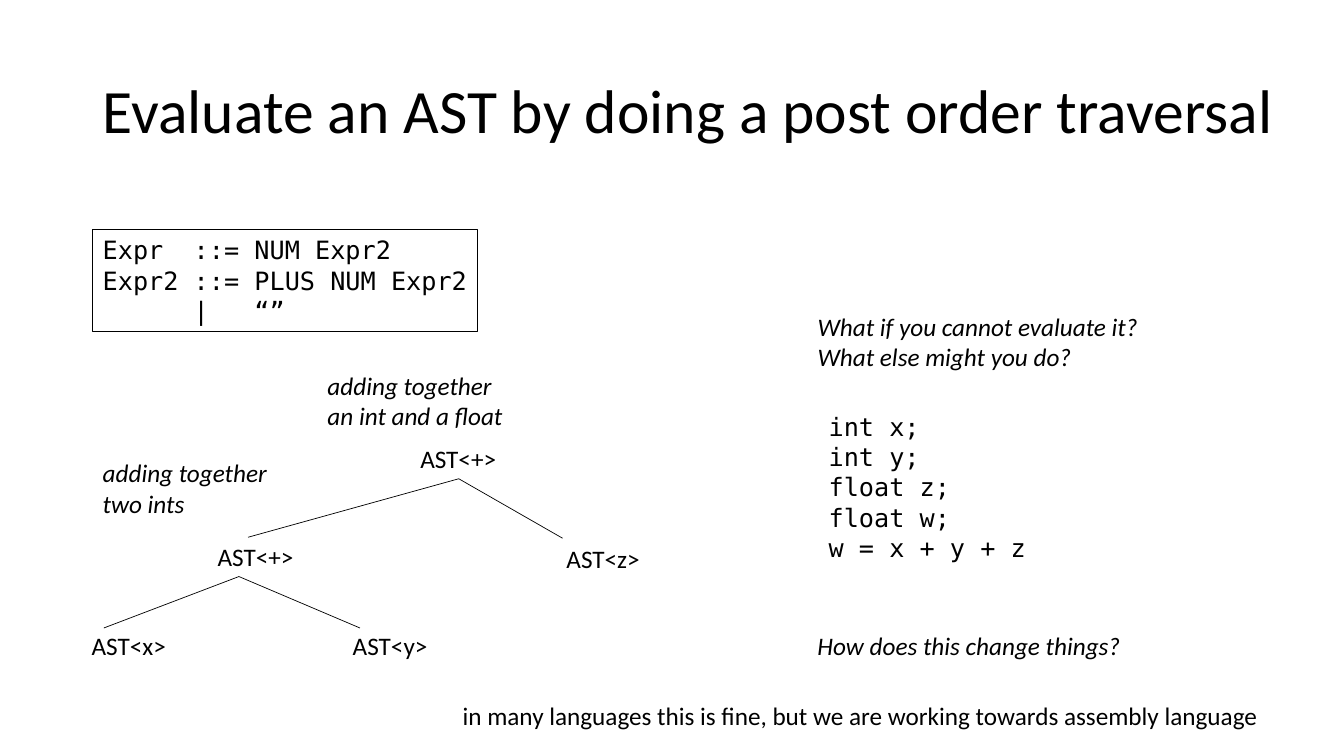
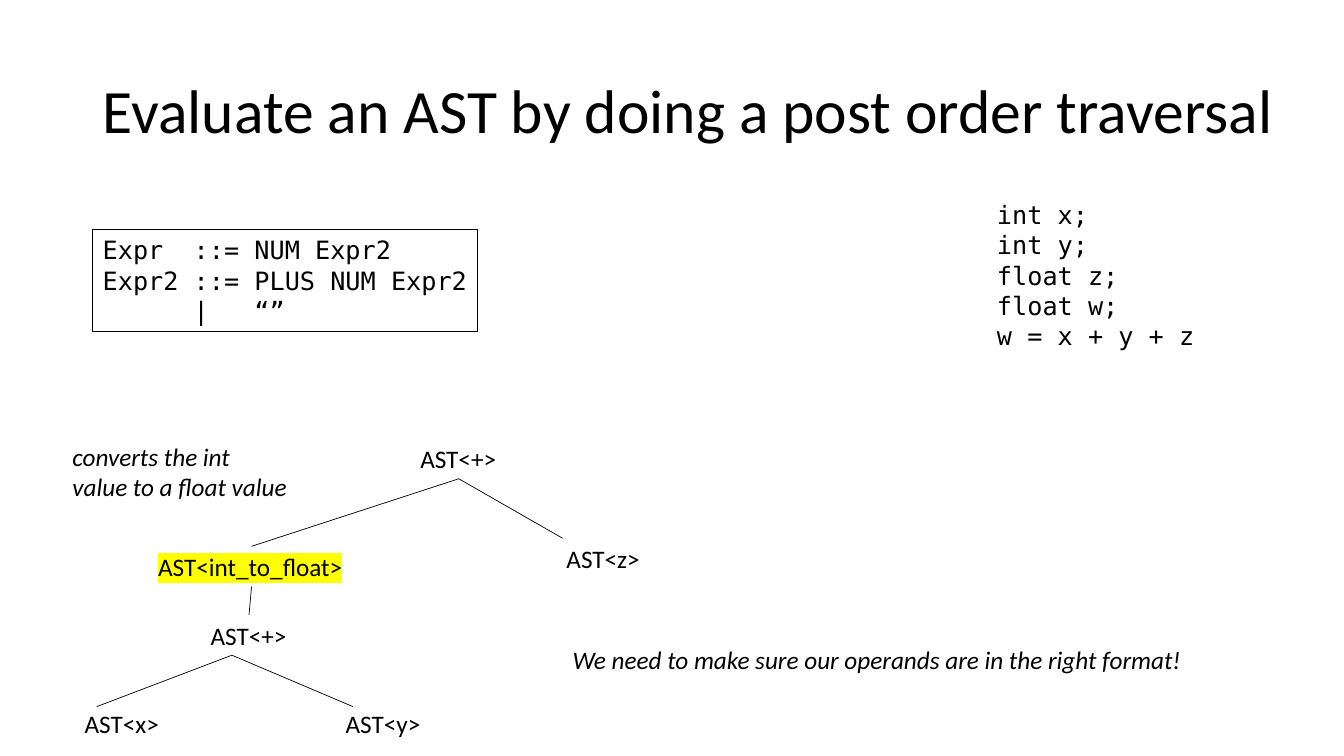
"""Build two slides on evaluating an abstract syntax tree by post order traversal."""
from lxml.etree import SubElement
from pptx import Presentation
from pptx.dml.color import RGBColor
from pptx.enum.shapes import MSO_CONNECTOR, MSO_SHAPE
from pptx.enum.text import MSO_ANCHOR as ANCHOR, MSO_AUTO_SIZE as FIT, PP_ALIGN as ALIGN
from pptx.oxml.ns import qn
from pptx.util import Inches, Pt

COLORS = {"ink": "000000", "marker": "FFFF00"}
FONTS = {
    "title": {"name": "Calibri", "size": Pt(44)},
    "code": {"name": "DejaVu Sans Mono", "size": Pt(18)},
    "plain": {"name": "Calibri", "size": Pt(18)},
    "aside": {"name": "Calibri", "size": Pt(18), "italic": True},
}
FRAMES = {
    "title": {"word_wrap": True, "vertical_anchor": ANCHOR.MIDDLE},
    "body": {"word_wrap": False, "vertical_anchor": ANCHOR.TOP,
             "auto_size": FIT.SHAPE_TO_FIT_TEXT},
}

TITLE = "Evaluate an AST by doing a post order traversal"
TITLE_AT = (0.92, 0.4, 12.05, 1.45)
GRAMMAR = "Expr  ::= NUM Expr2\nExpr2 ::= PLUS NUM Expr2\n      |   “”"
GRAMMAR_AT = (0.92, 2.28, 3.82, 1.01)
PROGRAM = "int x;\nint y;\nfloat z;\nfloat w;\vw = x + y + z"
PROGRAM_SIZE = (2.16, 1.62)
NODE_HEIGHT = 0.4
NODE_WIDTHS = {"+": 0.96, "x": 0.95, "y": 0.95, "z": 0.94, "int_to_float": 2.05}
ROOT, ROOT_LEAF, ROOT_LEAF_JOINT = (4.07, 4.35), (5.52, 5.34), (5.58, 5.34)
INNER_JOINT = (0.31, 0.4)
INNER_LEAVES = [
    ("x", (-1.25, 0.88), (-1.03, 0.91)),
    ("y", (1.34, 0.88), (1.51, 0.91)),
]

SLIDES = [
    {
        "program": (8.12, 4.03),
        "inner": (2.06, 5.32),
        "inner_end": (2.46, 5.33),
        "notes": [
            ("What if you cannot evaluate it?\vWhat else might you do?",
             (8.01, 3.04, 4.21, 0.71), "aside"),
            ("How does this change things?", (8.01, 6.2, 3.24, 0.4), "aside"),
            ("adding together\vtwo ints", (0.92, 4.49, 1.85, 0.71), "aside"),
            ("adding together\van int and a float", (3.15, 3.62, 1.96, 0.71), "aside"),
            ("in many languages this is fine, but we are working towards assembly language",
             (4.49, 6.9, 8.24, 0.4), "plain"),
        ],
    },
    {
        "program": (9.79, 1.93),
        "inner": (1.99, 6.1),
        "conversion": (1.47, 5.42),
        "notes": [
            ("converts the int\nvalue to a float value", (0.62, 4.33, 2.34, 0.71), "aside"),
            ("We need to make sure our operands are in the right format!",
             (5.58, 6.34, 6.31, 0.4), "aside"),
        ],
    },
]


def color(name):
    return RGBColor.from_string(COLORS[name])


def shifted(origin, offset):
    return origin[0] + offset[0], origin[1] + offset[1]


def write(shape, text, style, frame="body"):
    for key, value in FRAMES[frame].items():
        setattr(shape.text_frame, key, value)
    shape.text_frame.text = text
    for paragraph in shape.text_frame.paragraphs:
        paragraph.alignment = ALIGN.LEFT
        for run in paragraph.runs:
            for key, value in FONTS[style].items():
                setattr(run.font, key, value)
            run.font.color.rgb = color("ink")
    return shape


def add_text(slide, text, at, style, frame="body"):
    return write(slide.shapes.add_textbox(*map(Inches, at)), text, style, frame)


def add_title(slide):
    title = add_text(slide, TITLE, TITLE_AT, "title", "title")
    title.text_frame.paragraphs[0].line_spacing = 0.9


def add_grammar(slide):
    grammar = slide.shapes.add_shape(MSO_SHAPE.RECTANGLE, *map(Inches, GRAMMAR_AT))
    grammar.shadow.inherit = False
    grammar.fill.background()
    grammar.line.color.rgb = color("ink")
    grammar.line.width = Pt(0.75)
    write(grammar, GRAMMAR, "code")


def add_node(slide, symbol, corner):
    at = (*corner, NODE_WIDTHS[symbol], NODE_HEIGHT)
    return add_text(slide, f"AST<{symbol}>", at, "plain")


def highlight(node):
    props = node.text_frame.paragraphs[0].runs[0].font.fill._xPr
    marker = SubElement(props, qn("a:highlight"))
    SubElement(marker, qn("a:srgbClr")).set("val", COLORS["marker"])
    props.find(qn("a:solidFill")).addnext(marker)


def add_branch(slide, start, end):
    """Draw an edge whose ends are points, or nodes joined bottom to top."""
    points = [map(Inches, part) if isinstance(part, tuple) else (0, 0) for part in (start, end)]
    branch = slide.shapes.add_connector(MSO_CONNECTOR.STRAIGHT, *points[0], *points[1])
    if not isinstance(start, tuple):
        branch.begin_connect(start, 2)
    if not isinstance(end, tuple):
        branch.end_connect(end, 0)
    branch.line.color.rgb = color("ink")
    branch.line.width = Pt(0.5)
    SubElement(branch._element.spPr, qn("a:effectLst"))


def add_tree(slide, content):
    root = add_node(slide, "+", ROOT)
    add_node(slide, "z", ROOT_LEAF)
    add_branch(slide, root, ROOT_LEAF_JOINT)
    corner = content["inner"]
    inner = add_node(slide, "+", corner)
    for symbol, place, joint in INNER_LEAVES:
        add_node(slide, symbol, shifted(corner, place))
        add_branch(slide, shifted(corner, INNER_JOINT), shifted(corner, joint))
    if "conversion" in content:
        conversion = add_node(slide, "int_to_float", content["conversion"])
        highlight(conversion)
        add_branch(slide, root, conversion)
        add_branch(slide, conversion, inner)
    else:
        add_branch(slide, root, content["inner_end"])


def main():
    deck = Presentation()
    deck.slide_width, deck.slide_height = Inches(13.33), Inches(7.5)
    for content in SLIDES:
        slide = deck.slides.add_slide(deck.slide_layouts[6])
        add_title(slide)
        add_grammar(slide)
        add_text(slide, PROGRAM, (*content["program"], *PROGRAM_SIZE), "code")
        add_tree(slide, content)
        for text, at, style in content["notes"]:
            add_text(slide, text, at, style)
    deck.save("out.pptx")


if __name__ == "__main__":
    main()
